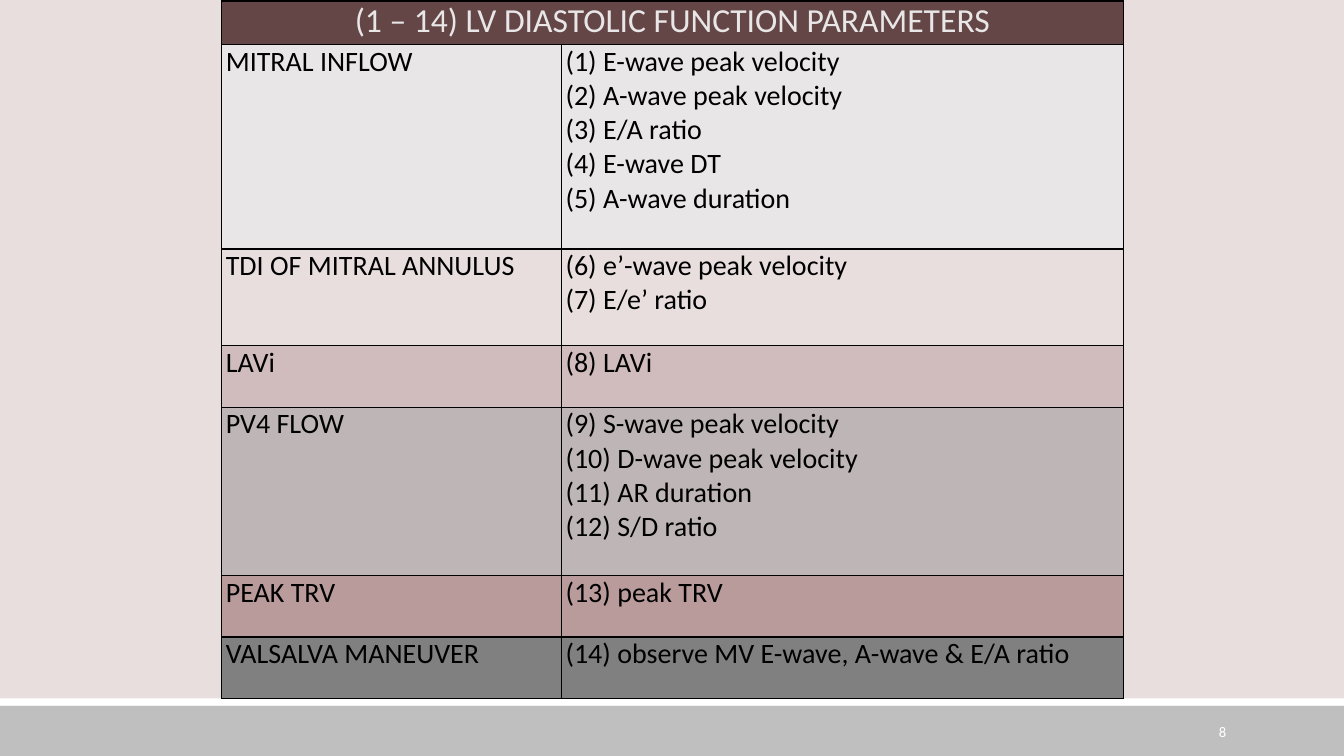
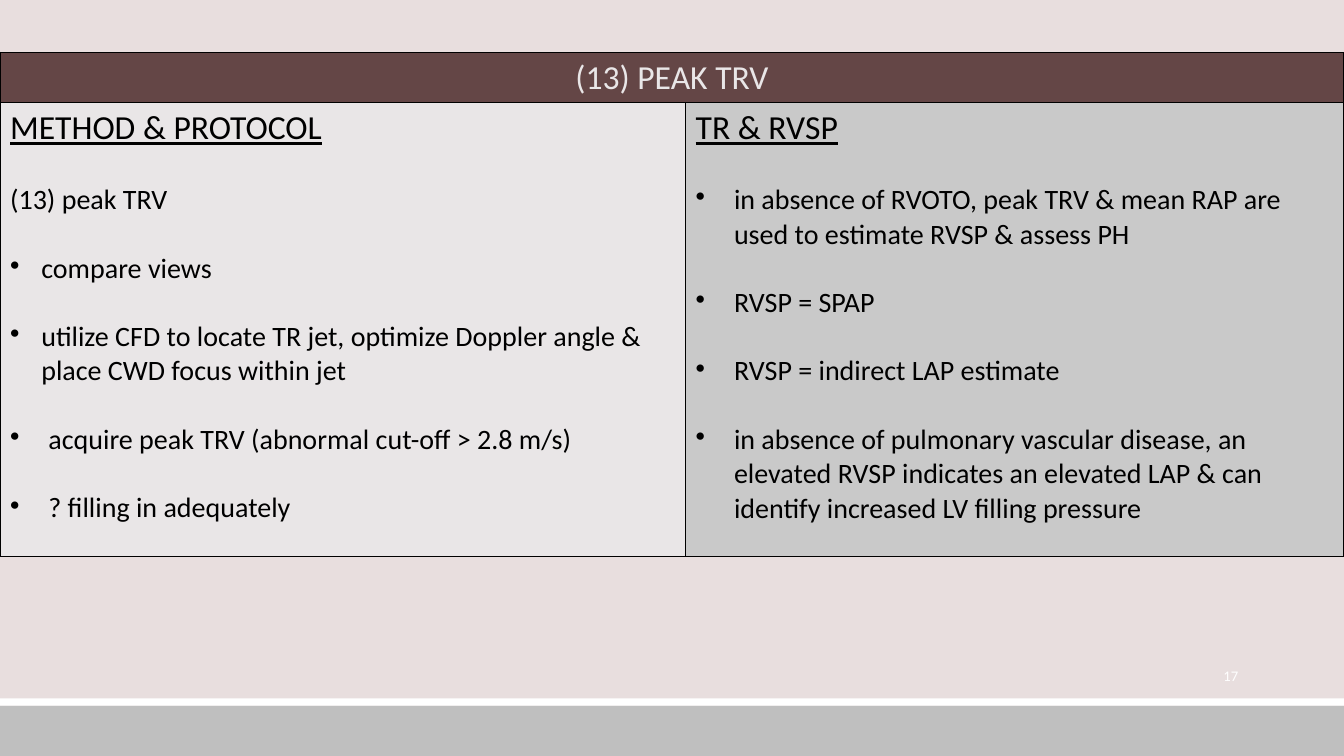
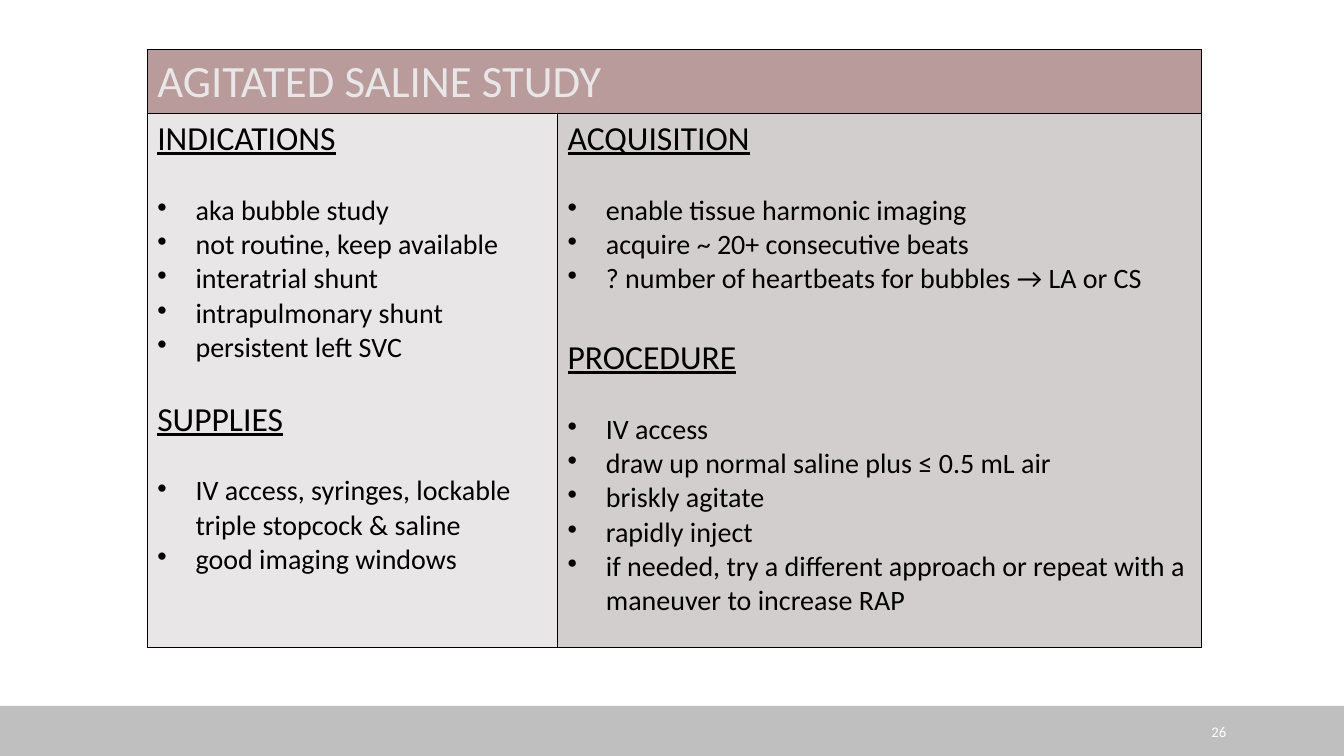
from pptx import Presentation
from pptx.dml.color import RGBColor as Rgb
from pptx.enum.shapes import MSO_SHAPE as Geo
from pptx.enum.text import MSO_ANCHOR as Anchor, PP_ALIGN as Align
from pptx.oxml import parse_xml
from pptx.oxml.ns import nsdecls
from pptx.util import Inches, Pt

HUES = {
    "black": "000000", "white": "FFFFFF", "silver": "BFBFBF",
    "blush": "E8DEDE", "cream": "E9E6E7", "wine": "644646",
    "rose": "D0BCBC", "taupe": "BDB5B6", "dusk": "B99B9B",
    "grey": "808080", "ash": "C9C9C9", "stone": "D3CECE",
}
FONT = "Calibri"
WIDE, HIGH = 13.33, 7.5
LINE = 24.4  # height of one line of body text, in points
STYLES = {
    "banner": {"size": Pt(32), "hue": "cream"},
    "title": {"size": Pt(24), "hue": "cream", "align": Align.CENTER},
    "head": {"size": Pt(24), "underline": True},
    "body": {"size": Pt(20)},
    "page": {"size": Pt(10.5), "hue": "white", "align": Align.RIGHT},
}


def paint(fill, hue):
    fill.solid()
    fill.fore_color.rgb = Rgb.from_string(HUES[hue])


def write(para, style, text, gap=0, hang=0):
    """Fill a paragraph; gap is points before it, hang the bullet indent."""
    look = dict(STYLES[style])
    para.alignment = look.pop("align", Align.LEFT)
    para.space_before = Pt(gap)
    if hang:
        props = para._p.get_or_add_pPr()
        props.set("marL", str(Inches(hang)))
        props.set("indent", str(-Inches(hang)))
        props.append(parse_xml(f'<a:buChar {nsdecls("a")} char="•"/>'))
    run = para.add_run()
    run.text = text
    run.font.name = FONT
    run.font.color.rgb = Rgb.from_string(HUES[look.pop("hue", "black")])
    for name, value in look.items():
        setattr(run.font, name, value)


def fill_text(frame, items):
    for num, item in enumerate(items):
        para = frame.add_paragraph() if num else frame.paragraphs[0]
        write(para, *item)


def lines(*texts):
    return [("body", text) for text in texts]


def bullets(*texts, gap=0, hang=0.38):
    """Bulleted lines, the first one a blank line below what precedes it."""
    return [("body", text, gap if num else LINE, hang)
            for num, text in enumerate(texts)]


def edge(cell):
    props = cell._tc.get_or_add_tcPr()
    for side in "LRTB":
        props.append(parse_xml(
            f'<a:ln{side} {nsdecls("a")} w="{Pt(1)}"><a:solidFill>'
            f'<a:srgbClr val="{HUES["black"]}"/></a:solidFill></a:ln{side}>'))


def add_grid(slide, spot, cols, rows, top, body, pad=(0.1, 0.05)):
    """Table whose merged top row is (hue, style, text); body rows hold
    one (hue, items) pair for each column."""
    size = Inches(sum(cols)), Inches(sum(rows))
    left, above = map(Inches, spot)
    grid = slide.shapes.add_table(len(rows), len(cols), left, above, *size).table
    grid.first_row = grid.horz_banding = False
    for col, width in zip(grid.columns, cols):
        col.width = Inches(width)
    for row, height in zip(grid.rows, rows):
        row.height = Inches(height)
    grid.cell(0, 0).merge(grid.cell(0, len(cols) - 1))
    hue, style, text = top
    first = [(hue, [(style, text)])] + [(hue, [])] * (len(cols) - 1)
    for row, parts in zip(grid.rows, [first] + body):
        for cell, (hue, items) in zip(row.cells, parts):
            cell.margin_left = cell.margin_right = Inches(pad[0])
            cell.margin_top = cell.margin_bottom = Inches(pad[1])
            edge(cell)
            paint(cell.fill, hue)
            fill_text(cell.text_frame, items)


def add_band(slide, top, height, hue):
    band = slide.shapes.add_shape(
        Geo.RECTANGLE, 0, Inches(top), Inches(WIDE), Inches(height))
    band.shadow.inherit = False
    paint(band.fill, hue)
    band.line.fill.background()


def add_page(slide, num, left=10.83, top=7.06):
    box = slide.shapes.add_textbox(
        Inches(left), Inches(top), Inches(1.43), Inches(0.4))
    frame = box.text_frame
    frame.word_wrap = True
    frame.vertical_anchor = Anchor.MIDDLE
    fill_text(frame, [("page", num)])


def new_slide(deck, hue):
    slide = deck.slides.add_slide(deck.slide_layouts[6])
    paint(slide.background.fill, hue)
    add_band(slide, 7, 0.5, "silver")
    add_band(slide, 6.93, 0.07, "white")
    return slide


def add_params(deck):
    slide = new_slide(deck, "blush")
    add_page(slide, "8")
    groups = [
        ("cream", "MITRAL INFLOW",
         ["(1) E-wave peak velocity", "(2) A-wave peak velocity",
          "(3) E/A ratio", "(4) E-wave DT", "(5) A-wave duration"]),
        ("blush", "TDI OF MITRAL ANNULUS",
         ["(6) e’-wave peak velocity", "(7) E/e’ ratio"]),
        ("rose", "LAVi", ["(8) LAVi"]),
        ("taupe", "PV4 FLOW",
         ["(9) S-wave peak velocity", "(10) D-wave peak velocity",
          "(11) AR duration", "(12) S/D ratio"]),
        ("dusk", "PEAK TRV", ["(13) peak TRV"]),
        ("grey", "VALSALVA MANEUVER",
         ["(14) observe MV E-wave, A-wave & E/A ratio"]),
    ]
    body = [[(hue, lines(name)), (hue, lines(*texts))]
            for hue, name, texts in groups]
    add_grid(slide, (2.2, 0.01), (3.37, 5.57),
             (0.43, 2.03, 0.96, 0.61, 1.67, 0.61, 0.61),
             ("wine", "title", "(1 – 14) LV DIASTOLIC FUNCTION PARAMETERS"),
             body, pad=(0.04, 0))


def add_peak(deck):
    slide = new_slide(deck, "blush")
    add_page(slide, "17", 10.95, 6.5)
    method = [
        ("head", "METHOD & PROTOCOL"),
        ("body", "(13) peak TRV", LINE),
        *bullets("compare views",
                 "utilize CFD to locate TR jet, optimize Doppler angle & "
                 "place CWD focus within jet", gap=LINE, hang=0.31),
        *bullets("acquire peak TRV (abnormal cut-off > 2.8 m/s)",
                 "? filling in adequately", gap=LINE),
    ]
    rvsp = [
        ("head", "TR & RVSP"),
        *bullets("in absence of RVOTO, peak TRV & mean RAP are used to "
                 "estimate RVSP & assess PH",
                 "RVSP = SPAP",
                 "RVSP = indirect LAP estimate",
                 "in absence of pulmonary vascular disease, an elevated RVSP "
                 "indicates an elevated LAP & can identify increased LV "
                 "filling pressure", gap=LINE),
    ]
    add_grid(slide, (0, 0.52), (6.8, 6.53), (0.5, 4.5),
             ("wine", "title", "(13) PEAK TRV"),
             [[("cream", method), ("ash", rvsp)]])


def add_saline(deck):
    slide = new_slide(deck, "white")
    add_page(slide, "26")
    needs = [
        ("head", "INDICATIONS"),
        *bullets("aka bubble study", "not routine, keep available",
                 "interatrial shunt", "intrapulmonary shunt",
                 "persistent left SVC"),
        ("head", "SUPPLIES", LINE),
        *bullets("IV access, syringes, lockable triple stopcock & saline",
                 "good imaging windows"),
    ]
    steps = [
        ("head", "ACQUISITION"),
        *bullets("enable tissue harmonic imaging",
                 "acquire ~ 20+ consecutive beats",
                 "? number of heartbeats for bubbles → LA or CS"),
        ("head", "PROCEDURE", 29.3),
        *bullets("IV access", "draw up normal saline plus ≤ 0.5 mL air",
                 "briskly agitate", "rapidly inject",
                 "if needed, try a different approach or repeat with a "
                 "maneuver to increase RAP"),
    ]
    add_grid(slide, (1.46, 0.49), (4.07, 6.39), (0.63, 5.3),
             ("dusk", "banner", "AGITATED SALINE STUDY"),
             [[("cream", needs), ("stone", steps)]])


def main():
    deck = Presentation()
    deck.slide_width, deck.slide_height = Inches(WIDE), Inches(HIGH)
    for build in (add_params, add_peak, add_saline):
        build(deck)
    deck.save("out.pptx")


if __name__ == "__main__":
    main()
